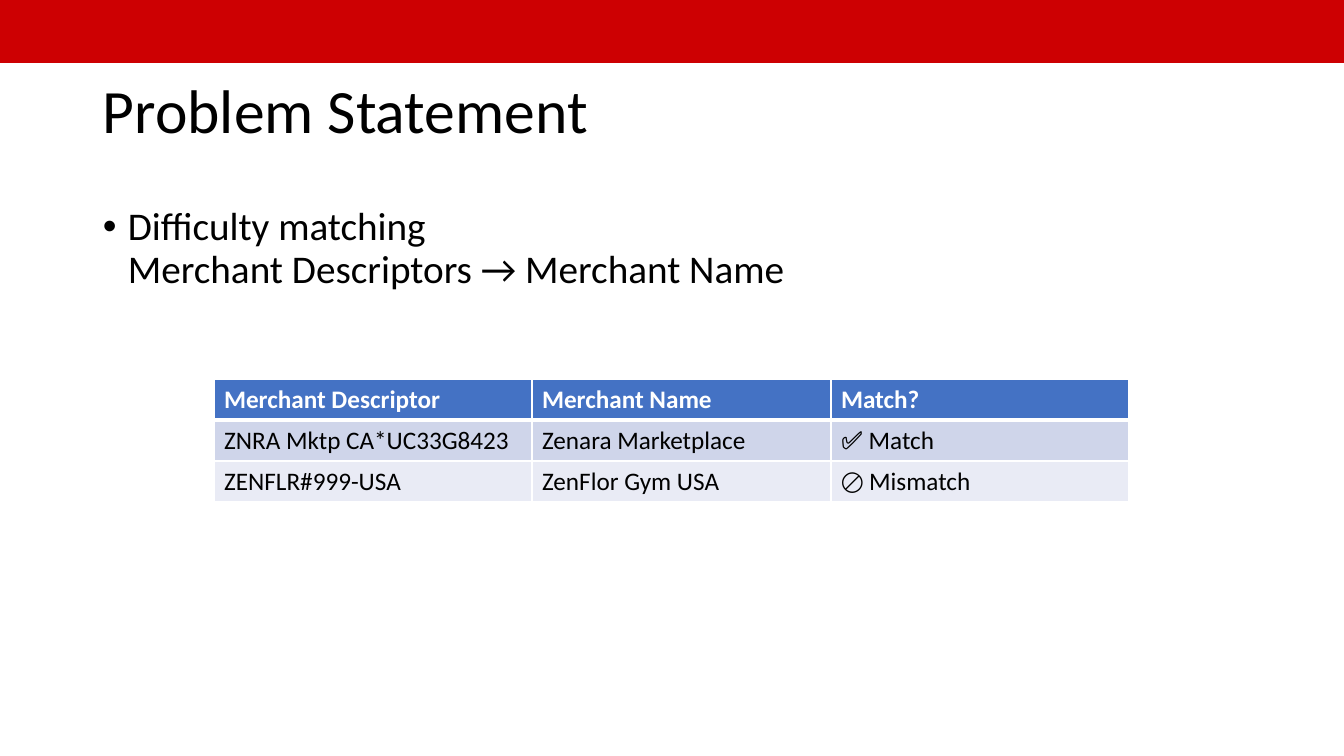
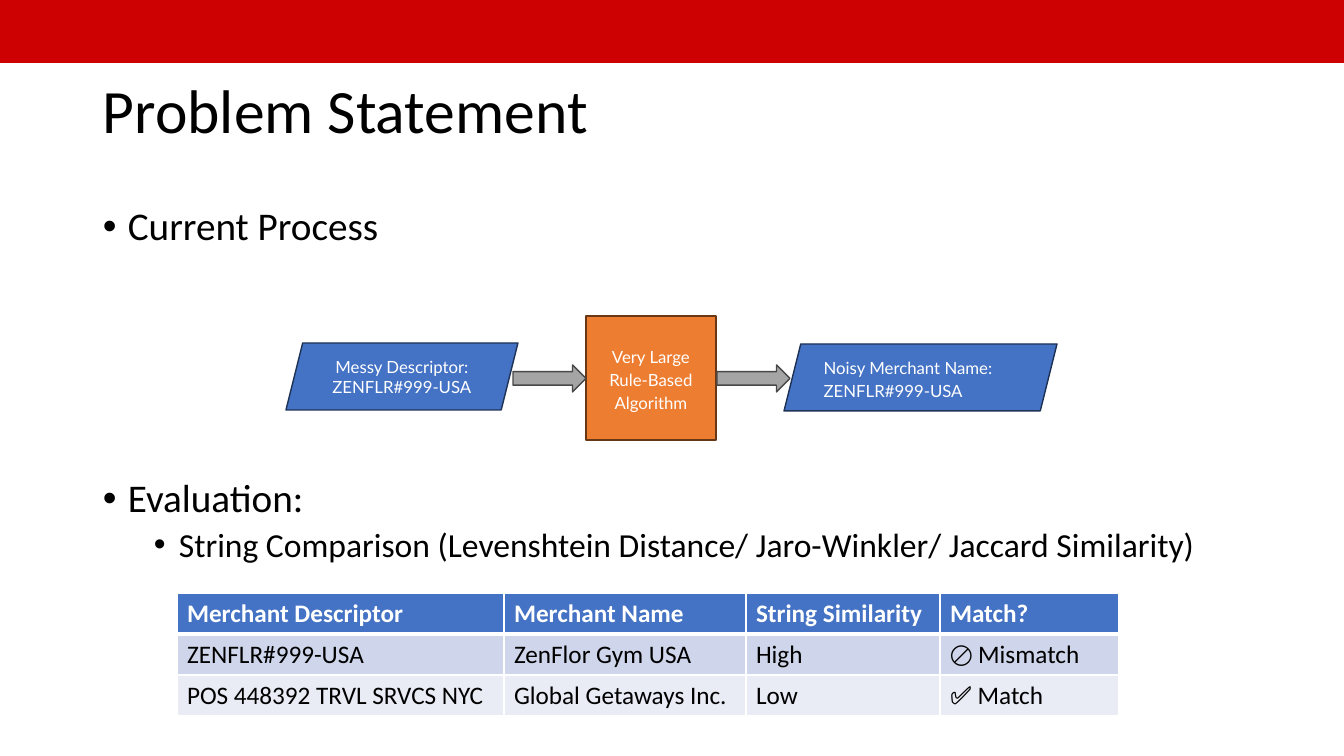
from pptx import Presentation
from pptx.dml.color import RGBColor
from pptx.enum.shapes import MSO_SHAPE
from pptx.enum.text import MSO_ANCHOR, PP_ALIGN
from pptx.oxml.ns import qn
from pptx.util import Emu, Pt
from lxml import etree

RECTANGLE = MSO_SHAPE.RECTANGLE
PARALLELOGRAM = MSO_SHAPE.PARALLELOGRAM
RIGHT_ARROW = MSO_SHAPE.RIGHT_ARROW
MIDDLE, TOP = MSO_ANCHOR.MIDDLE, MSO_ANCHOR.TOP
LEFT, CENTER = PP_ALIGN.LEFT, PP_ALIGN.CENTER

RED = RGBColor(0xCD, 0x00, 0x02)
BLACK = RGBColor(0x00, 0x00, 0x00)
WHITE = RGBColor(0xFF, 0xFF, 0xFF)
BLUE = RGBColor(0x44, 0x72, 0xC4)
DARK_BLUE = RGBColor(0x1E, 0x32, 0x56)
ORANGE = RGBColor(0xED, 0x7D, 0x31)
BROWN = RGBColor(0x68, 0x37, 0x15)
GRAY = RGBColor(0xA5, 0xA5, 0xA5)
DARK_GRAY = RGBColor(0x48, 0x48, 0x48)
ROW_FILLS = (RGBColor(0xCF, 0xD5, 0xEA), RGBColor(0xE9, 0xEB, 0xF5))

BODY_FONT, FLOW_FONT = "Calibri", "Lato"
WIDTH, HEIGHT = 1344, 756
MARGIN, TEXT_WIDTH = 93, 1159
ROW_HEIGHT = 41
HANGING = 25
LEVEL_INDENTS = (25, 76)
LEVEL_SIZES = (28, 24)

TITLE = "Problem Statement"
GYM_DESCRIPTOR, GYM_NAME = "ZENFLR#999-USA", "ZenFlor Gym USA"
MATCH, MISMATCH = "✅ Match", "🚫 Mismatch"


def px(length):
    return Emu(round(length * 914400 / 100.8))


def style(paragraph, size, color, font=BODY_FONT, bold=False):
    paragraph.font.name = font
    paragraph.font.size = Pt(size)
    paragraph.font.bold = bold
    paragraph.font.color.rgb = color


def add_bullet(paragraph, level):
    properties = paragraph._p.get_or_add_pPr()
    properties.set("marL", str(px(LEVEL_INDENTS[level])))
    properties.set("indent", str(-px(HANGING)))
    etree.SubElement(properties, qn("a:buFont"), typeface="Arial")
    etree.SubElement(properties, qn("a:buChar"), char="•")


def add_borders(cell, top, bottom):
    properties = cell._tc.get_or_add_tcPr()
    edges = (("a:lnL", 1), ("a:lnR", 1), ("a:lnT", top), ("a:lnB", bottom))
    for index, (tag, width) in enumerate(edges):
        line = etree.Element(qn(tag), w=str(Pt(width)))
        fill = etree.SubElement(line, qn("a:solidFill"))
        etree.SubElement(fill, qn("a:srgbClr"), val=str(WHITE))
        properties.insert(index, line)


class Deck:
    """Holds the presentation, its style and the current slide."""

    def __init__(self):
        self.deck = Presentation()
        self.deck.slide_width, self.deck.slide_height = px(WIDTH), px(HEIGHT)
        self.page = None

    def new_page(self, title):
        self.page = self.deck.slides.add_slide(self.deck.slide_layouts[6])
        self.shape(RECTANGLE, 0, 0, WIDTH, 63, RED)
        frame = self.text_frame(41, 146, MIDDLE)
        para = frame.paragraphs[0]
        para.text = title
        para.line_spacing = 0.9
        style(para, 44, BLACK)

    def text_frame(self, top, height, anchor):
        box = self.page.shapes.add_textbox(
            px(MARGIN), px(top), px(TEXT_WIDTH), px(height))
        frame = box.text_frame
        frame.word_wrap = True
        frame.vertical_anchor = anchor
        return frame

    def bullets(self, items):
        """Each item is (text, level, space before in points)."""
        frame = self.text_frame(202, 480, TOP)
        for index, (text, level, before) in enumerate(items):
            para = frame.add_paragraph() if index else frame.paragraphs[0]
            para.text = text
            para.level = level
            add_bullet(para, level)
            para.line_spacing = 0.9
            para.space_before = Pt(before)
            style(para, LEVEL_SIZES[level], BLACK)

    def shape(self, kind, left, top, width, height, fill, line=None):
        shape = self.page.shapes.add_shape(
            kind, px(left), px(top), px(width), px(height))
        shape.shadow.inherit = False
        shape.fill.solid()
        shape.fill.fore_color.rgb = fill
        if line is None:
            shape.line.fill.background()
        else:
            shape.line.color.rgb = line
            shape.line.width = Pt(1)
        return shape

    def flow_step(self, kind, place, fill, line, text, align=CENTER, spacing=1.15):
        frame = self.shape(kind, *place, fill, line).text_frame
        frame.word_wrap = True
        frame.vertical_anchor = MIDDLE
        para = frame.paragraphs[0]
        para.text = text
        para.alignment = align
        para.line_spacing = spacing
        style(para, 12, WHITE, FLOW_FONT)

    def table(self, left, top, widths, rows):
        table = self.page.shapes.add_table(
            len(rows), len(widths), px(left), px(top),
            px(sum(widths)), px(ROW_HEIGHT * len(rows))).table
        table.horz_banding = False
        for column, width in zip(table.columns, widths):
            column.width = px(width)
        for index, texts in enumerate(rows):
            table.rows[index].height = px(ROW_HEIGHT)
            header = index == 0
            for cell, text in zip(table.rows[index].cells, texts):
                cell.text = text
                cell.vertical_anchor = MIDDLE
                cell.fill.solid()
                cell.fill.fore_color.rgb = BLUE if header else ROW_FILLS[(index - 1) % 2]
                add_borders(cell, 3 if index == 1 else 1, 3 if header else 1)
                style(cell.text_frame.paragraphs[0], 18,
                      WHITE if header else BLACK, bold=header)

    def save(self):
        self.deck.save("out.pptx")


def main():
    deck = Deck()

    # Matching problem
    deck.new_page(TITLE)
    deck.bullets([("Difficulty matching\nMerchant Descriptors → Merchant Name", 0, 0)])
    deck.table(214, 379, (318, 299, 298), [
        ("Merchant Descriptor", "Merchant Name", "Match?"),
        ("ZNRA Mktp CA*UC33G8423", "Zenara Marketplace", MATCH),
        (GYM_DESCRIPTOR, GYM_NAME, MISMATCH),
    ])

    # Current process and its evaluation
    deck.new_page(TITLE)
    deck.bullets([
        ("Current Process", 0, 0),
        ("Evaluation:", 0, 164),
        ("String Comparison (Levenshtein Distance/ Jaro-Winkler/ Jaccard Similarity)", 1, 5),
    ])
    deck.flow_step(RECTANGLE, (586, 316, 130, 124), ORANGE, BROWN,
                   "Very Large\nRule-Based\nAlgorithm")
    deck.flow_step(PARALLELOGRAM, (286, 343, 232, 67), BLUE, DARK_BLUE,
                   f"Messy Descriptor:\n{GYM_DESCRIPTOR}", spacing=1.0)
    deck.flow_step(PARALLELOGRAM, (784, 344, 273, 67), BLUE, DARK_BLUE,
                   f"Noisy Merchant Name:\n{GYM_DESCRIPTOR}", LEFT)
    for left in (513, 717):
        deck.shape(RIGHT_ARROW, left, 365, 73, 27, GRAY, DARK_GRAY)
    deck.table(177, 593, (327, 242, 194, 179), [
        ("Merchant Descriptor", "Merchant Name", "String Similarity", "Match?"),
        (GYM_DESCRIPTOR, GYM_NAME, "High", MISMATCH),
        ("POS 448392 TRVL SRVCS NYC", "Global Getaways Inc.", "Low", MATCH),
    ])

    deck.save()


if __name__ == "__main__":
    main()
